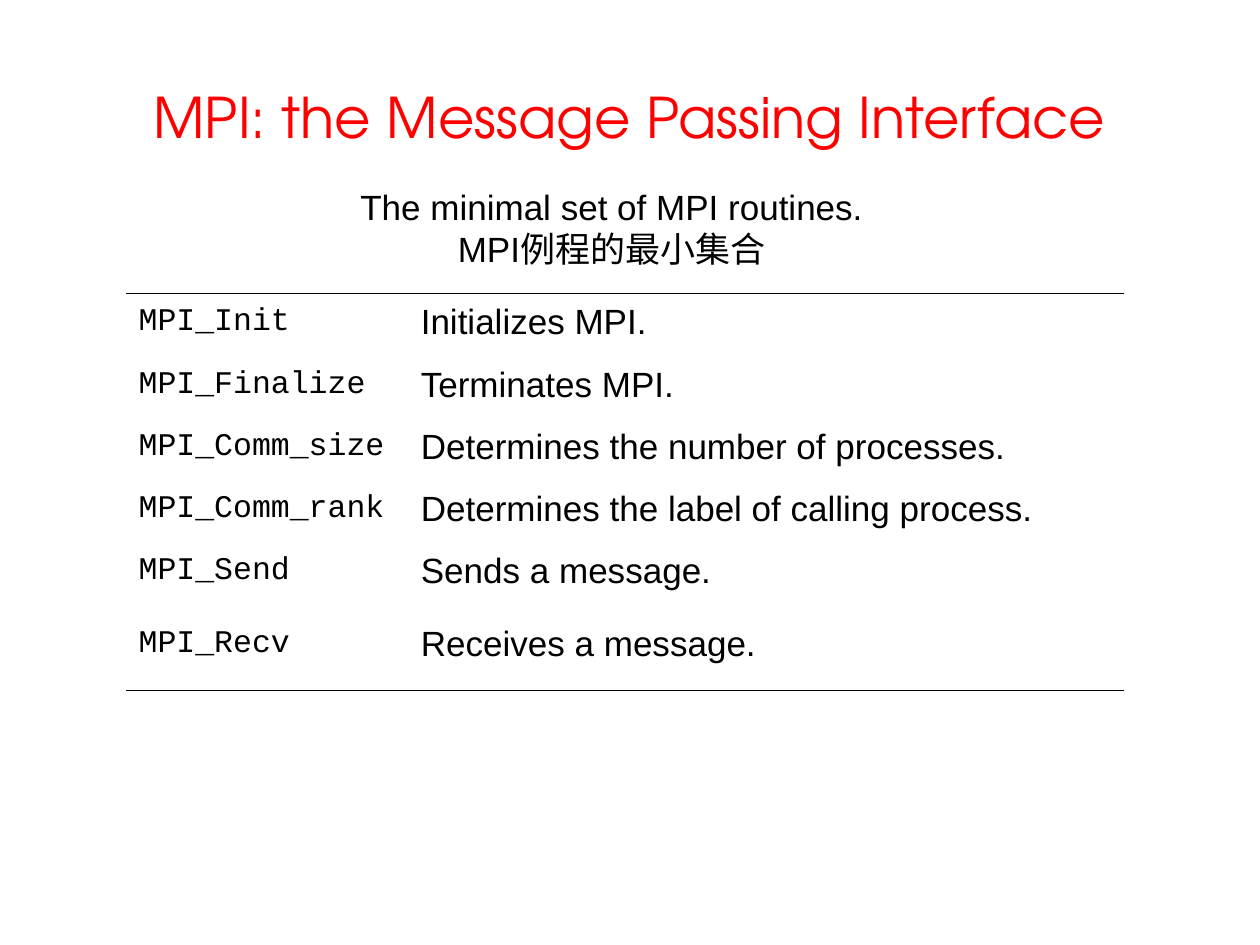
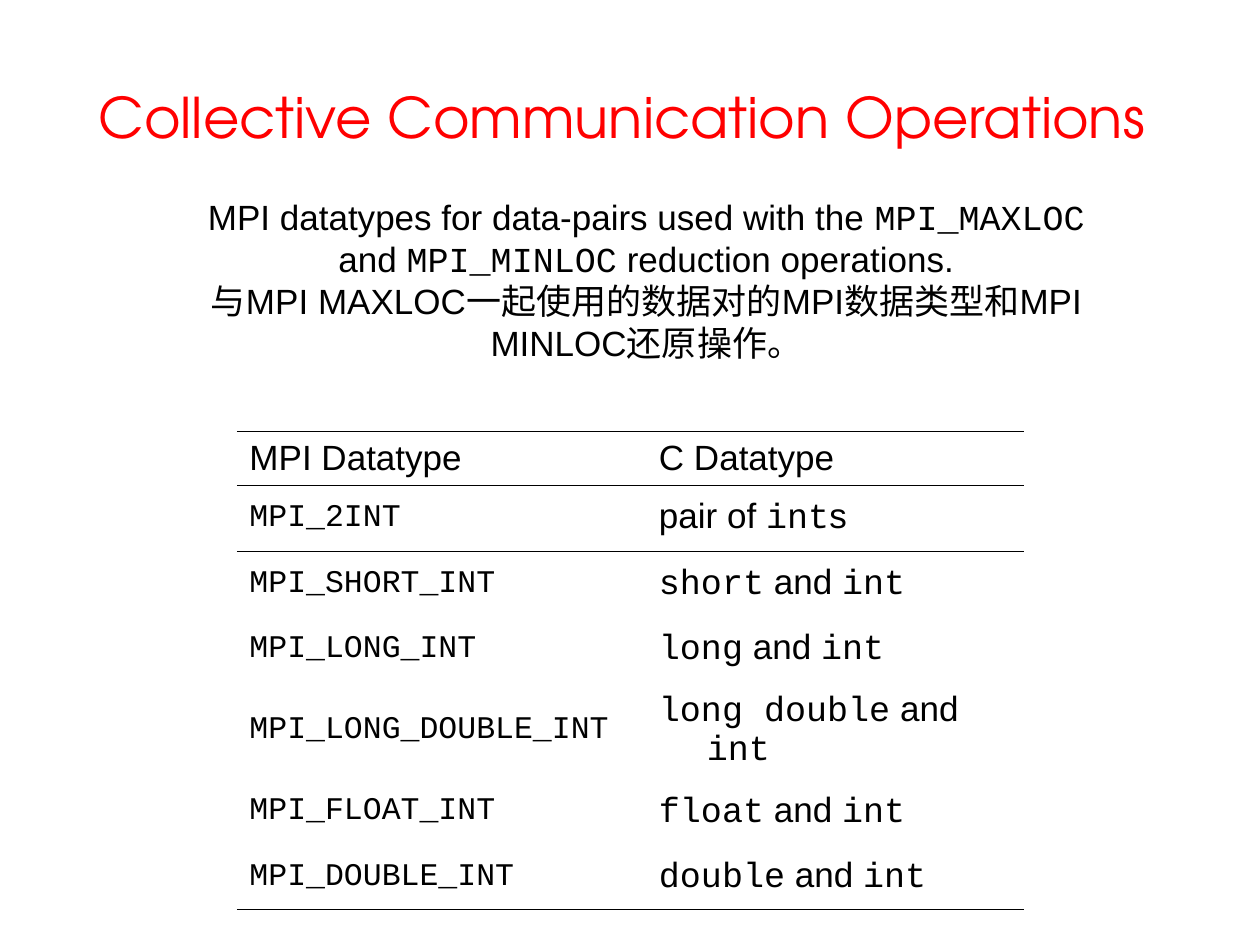
from dataclasses import dataclass

from lxml.etree import SubElement
from pptx import Presentation
from pptx.dml.color import RGBColor as Color
from pptx.enum.text import MSO_ANCHOR as Anchor
from pptx.enum.text import MSO_AUTO_SIZE as AutoSize
from pptx.enum.text import PP_ALIGN as Align
from pptx.oxml.ns import qn
from pptx.util import Inches, Pt


@dataclass(frozen=True)
class Theme:
    title_color: Color = Color(0xFF, 0x00, 0x00)
    ink: Color = Color(0x00, 0x00, 0x00)
    title_font: str = "TeX Gyre Adventor"
    body_font: str = "Arial"
    code_font: str = "Courier New"
    title_size: int = 32
    body_size: int = 20
    code_size: int = 18
    rule_width: float = 0.45
    hanging: float = 3.04  # grid units
    plain_table: str = "{2D5ABB26-0587-4C30-8999-92F81FD0307C}"


THEME = Theme()
COLUMNS, ROWS = 80, 60  # the grid that covers a slide
UNIT = Inches(10) // COLUMNS
TITLE_AREA = (4, 2.4, 72, 10)

ROUTINES = [
    ("`MPI_Init`", "Initializes MPI."),
    ("`MPI_Finalize`", "Terminates MPI."),
    ("`MPI_Comm_size`", "Determines the number of processes."),
    ("`MPI_Comm_rank`", "Determines the label of calling process."),
    ("`MPI_Send`", "Sends a message."),
    ("`MPI_Recv`", "Receives a message."),
]
DATATYPES = [
    ("MPI Datatype", "C Datatype"),
    ("`MPI_2INT`", "pair of `int`s"),
    ("`MPI_SHORT_INT`", "`short` and `int`"),
    ("`MPI_LONG_INT`", "`long` and `int`"),
    ("`MPI_LONG_DOUBLE_INT`", "`long double` and `int`"),
    ("`MPI_FLOAT_INT`", "`float` and `int`"),
    ("`MPI_DOUBLE_INT`", "`double` and `int`"),
]


def grid(*counts):
    """Turn grid units into lengths."""
    return [round(count * UNIT) for count in counts]


# Text
def set_font(font, name, size, color):
    font.name = name
    font.size = Pt(size)
    font.color.rgb = color


def write(para, text, size=THEME.body_size, name=THEME.body_font, color=THEME.ink):
    """Fill a paragraph; parts between backticks are set as code."""
    set_font(para.font, name, size, color)
    for index, part in enumerate(text.split("`")):
        if part:
            span = para.add_run()
            span.text = part
            set_font(span.font, THEME.code_font if index % 2 else name, size, color)


def add_text(page, area, lines, wrap=True, **style):
    box = page.shapes.add_textbox(*grid(*area))
    frame = box.text_frame
    frame.word_wrap = wrap
    for index, line in enumerate(lines):
        para = frame.add_paragraph() if index else frame.paragraphs[0]
        para.alignment = Align.CENTER
        write(para, line, **style)
    return frame


def add_title(page, text):
    frame = add_text(page, TITLE_AREA, [text], size=THEME.title_size,
                     name=THEME.title_font, color=THEME.title_color)
    frame.vertical_anchor = Anchor.MIDDLE


def add_caption(page, area, lines, wrap=True):
    frame = add_text(page, area, lines, wrap)
    frame.auto_size = AutoSize.SHAPE_TO_FIT_TEXT


# Ruled table
def rule_cell(cell, edge):
    line = SubElement(cell._tc.get_or_add_tcPr(), qn(f"a:{edge}"),
                      w=str(Pt(THEME.rule_width)))
    fill = SubElement(line, qn("a:solidFill"))
    SubElement(fill, qn("a:srgbClr"), val=str(THEME.ink))


def fill_cell(cell, text):
    cell.vertical_anchor = Anchor.MIDDLE
    cell.fill.background()
    para = cell.text_frame.paragraphs[0]
    hanging, = grid(THEME.hanging)
    properties = para._p.get_or_add_pPr()
    properties.set("marL", str(hanging))
    properties.set("indent", str(-hanging))
    all_code = text.count("`") == 2 and text.startswith("`") and text.endswith("`")
    if all_code:
        write(para, text.strip("`"), THEME.code_size, THEME.code_font)
    else:
        write(para, text)


def add_ruled_table(page, corner, widths, heights, records, rules):
    """Draw records with lines at the row boundaries numbered in rules."""
    size = (sum(widths), sum(heights))
    holder = page.shapes.add_table(len(heights), len(widths), *grid(*corner, *size))
    table = holder.table
    table.first_row = table.horz_banding = False
    next(table._tbl.iter(qn("a:tableStyleId"))).text = THEME.plain_table
    for column, width in zip(table.columns, grid(*widths)):
        column.width = width
    for row, height in zip(table.rows, grid(*heights)):
        row.height = height
    for number, record in enumerate(records):
        for cell, text in zip(table.rows[number].cells, record):
            for edge, boundary in (("lnT", number), ("lnB", number + 1)):
                if boundary in rules:
                    rule_cell(cell, edge)
            fill_cell(cell, text)


# Slides
def add_page(deck, title):
    page = deck.slides.add_slide(deck.slide_layouts[6])
    add_title(page, title)
    return page


def add_routines_page(deck):
    page = add_page(deck, "MPI: the Message Passing Interface")
    add_caption(page, (22.08, 11.36, 33.52, 6.16),
                ["The minimal set of MPI routines.", "MPI例程的最小集合"], wrap=False)
    add_ruled_table(page, (8, 18.64), (17.92, 45.44),
                    (3.6, 4.4, 2.64, 4.4, 2.88, 5.84), ROUTINES,
                    rules={0, len(ROUTINES)})


def add_datatypes_page(deck):
    page = add_page(deck, "Collective Communication Operations ")
    add_caption(page, (11.36, 12, 59.36, 11.52), [
        "MPI datatypes for data-pairs used with the `MPI_MAXLOC` and "
        "`MPI_MINLOC` reduction operations.",
        "与MPI MAXLOC一起使用的数据对的MPI数据类型和MPI MINLOC还原操作。",
    ])
    heights = [3.44] + [4.16] * (len(DATATYPES) - 1)
    add_ruled_table(page, (15.04, 27.36), (26, 24), heights, DATATYPES,
                    rules={0, 1, len(DATATYPES)})


def main():
    deck = Presentation()
    deck.slide_width, deck.slide_height = grid(COLUMNS, ROWS)
    add_routines_page(deck)
    add_datatypes_page(deck)
    deck.save("out.pptx")


if __name__ == "__main__":
    main()
